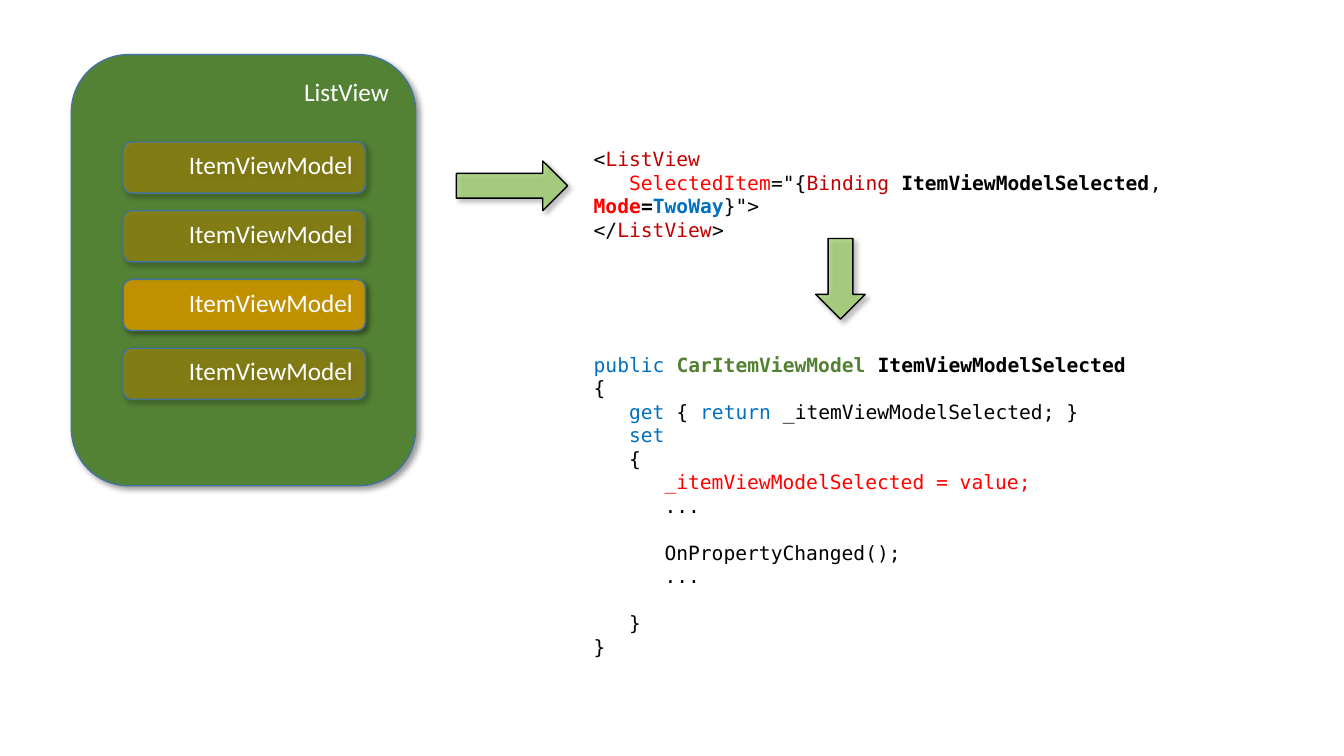
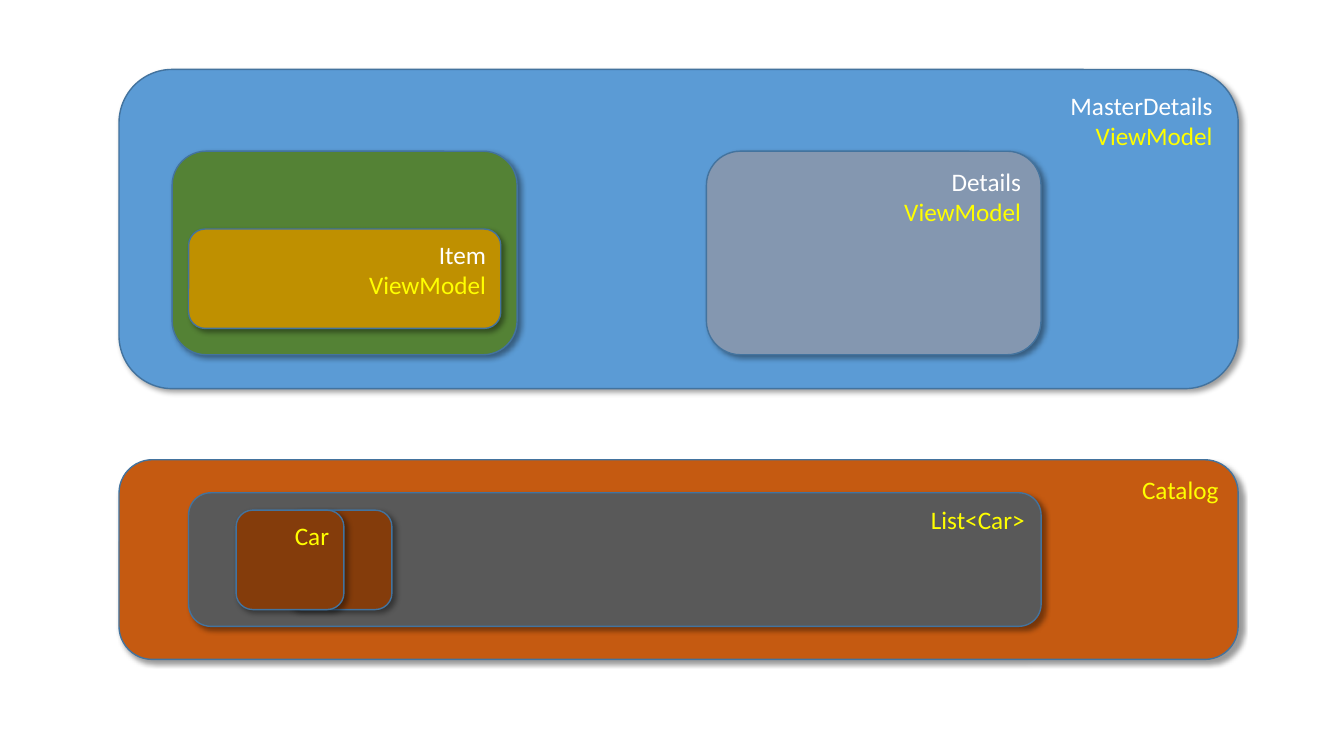
"""Build two slides on list selection and nested view models."""
from lxml import etree
from pptx import Presentation
from pptx.dml.color import RGBColor
from pptx.enum import shapes, text
from pptx.oxml import ns
from pptx.util import Pt

HUES = {
    "white": "FFFFFF", "black": "000000", "yellow": "FFFF00",
    "edge": "43739E", "green": "548235", "gold": "BF9000",
    "lime": "92D050", "sky": "5B9BD5", "slate": "8497B0",
    "rust": "C55A11", "gray": "595959", "brown": "843C0B",
    "maroon": "C00000", "red": "FF0000", "blue": "0070C0",
}
SANS, MONO = "Calibri", "DejaVu Sans Mono"
TAB = 25.3
LINE = 16.6
VIEW = ("ViewModel", "yellow")

MARKUP = [
    (0, 0, [("<", "black"), ("ListView", "maroon")]),
    (1, 0, [("SelectedItem", "red"), ('="{', "black"), ("Binding ", "maroon"),
            ("ItemViewModelSelected", "black", True), (",", "black"),
            (" Mode", "red", True), ("=", "black", True),
            ("TwoWay", "blue", True), ('}">', "black")]),
    (0, 0, [("</", "black"), ("ListView", "maroon"), (">", "black")]),
]
CODE = [
    (0, 0, [("public ", "blue"), ("CarItemViewModel ", "green", True),
            ("ItemViewModelSelected", "black", True)]),
    (0, 0, [("{", "black")]),
    (1, 0, [("get", "blue"), (" { ", "black"), ("return ", "blue"),
            ("_itemViewModelSelected; }", "black")]),
    (1, 0, [("set", "blue")]),
    (1, 0, [("{", "black")]),
    (2, 0, [("_itemViewModelSelected = value;", "red")]),
    (2, 0, [("...", "black")]),
    (2, 1, [("OnPropertyChanged();", "black")]),
    (2, 0, [("...", "black")]),
    (1, 1, [("}", "black")]),
    (0, 0, [("}", "black")]),
]


def tint(hue):
    return RGBColor.from_string(HUES[hue])


def shade(shape):
    shape.shadow.inherit = False
    effects = shape._element.spPr.find(ns.qn("a:effectLst"))
    outer = etree.SubElement(
        effects, ns.qn("a:outerShdw"), blurRad=str(Pt(4)), dist=str(Pt(3)),
        dir="2700000", algn="tl", rotWithShape="0")
    ink = etree.SubElement(outer, ns.qn("a:srgbClr"), val=HUES["black"])
    etree.SubElement(ink, ns.qn("a:alpha"), val="40000")


def block(slide, kind, spot, hue, edge, alpha=100):
    shape = slide.shapes.add_shape(kind, *map(Pt, spot))
    shape.fill.solid()
    shape.fill.fore_color.rgb = tint(hue)
    if alpha < 100:
        ink = shape._element.spPr.find(ns.qn("a:solidFill"))[0]
        etree.SubElement(ink, ns.qn("a:alpha"), val=str(alpha * 1000))
    shape.line.color.rgb = tint(edge)
    shape.line.width = Pt(1)
    shade(shape)
    return shape


def card(slide, spot, hue, *lines, alpha=100):
    shape = block(slide, shapes.MSO_SHAPE.ROUNDED_RECTANGLE, spot, hue,
                  "edge", alpha)
    frame = shape.text_frame
    frame.vertical_anchor = text.MSO_ANCHOR.TOP
    for i, (words, ink) in enumerate(lines):
        para = frame.add_paragraph() if i else frame.paragraphs[0]
        para.alignment = text.PP_ALIGN.RIGHT
        para.font.name, para.font.size = SANS, Pt(18)
        para.font.color.rgb = tint(ink)
        para.add_run().text = words


def arrow(slide, spot, turn=0):
    shape = block(slide, shapes.MSO_SHAPE.RIGHT_ARROW, spot, "lime", "black", 60)
    shape.rotation = turn


def listing(slide, spot, rows):
    frame = slide.shapes.add_textbox(*map(Pt, spot)).text_frame
    frame.word_wrap = True
    for i, (depth, gap, runs) in enumerate(rows):
        para = frame.add_paragraph() if i else frame.paragraphs[0]
        para.font.name, para.font.size = MONO, Pt(14)
        para.space_before = Pt(gap * LINE)
        para._p.get_or_add_pPr().set("indent", str(Pt(depth * TAB)))
        for words, ink, *bold in runs:
            run = para.add_run()
            run.text = words
            run.font.color.rgb = tint(ink)
            run.font.bold = bool(bold)


def binding(slide):
    card(slide, (51, 39, 246, 308), "green", ("ListView", "white"))
    for i in range(4):
        card(slide, (88, 101.4 + 49.1 * i, 173, 36.6), "gold",
             ("ItemViewModel", "white"), alpha=100 if i == 2 else 50)
    listing(slide, (417, 101.4, 530.6, 72.6), MARKUP)
    listing(slide, (417, 248.4, 402.4, 237.6), CODE)
    arrow(slide, (326, 115, 79.4, 35.4))
    arrow(slide, (571.5, 181.5, 57.6, 35.4), 90)


def models(slide):
    card(slide, (85, 49.6, 799.4, 228), "sky", ("MasterDetails", "white"), VIEW)
    card(slide, (123, 108, 246.4, 145.4), "green")
    card(slide, (134.7, 163.6, 223, 71), "gold", ("Item", "white"), VIEW)
    card(slide, (504.6, 108, 239, 145.4), "slate", ("Details", "white"), VIEW)
    card(slide, (85, 328.4, 799.4, 142.6), "rust", ("Catalog", "yellow"))
    card(slide, (134.7, 352, 609, 95.4), "gray", ("List<Car>", "yellow"))
    card(slide, (203, 364.4, 77, 71), "brown")
    card(slide, (168.7, 364.4, 77, 71), "brown", ("Car", "yellow"))


def main():
    deck = Presentation()
    deck.slide_width, deck.slide_height = Pt(960), Pt(540)
    for draw in (binding, models):
        draw(deck.slides.add_slide(deck.slide_layouts[6]))
    deck.save("out.pptx")


if __name__ == "__main__":
    main()
